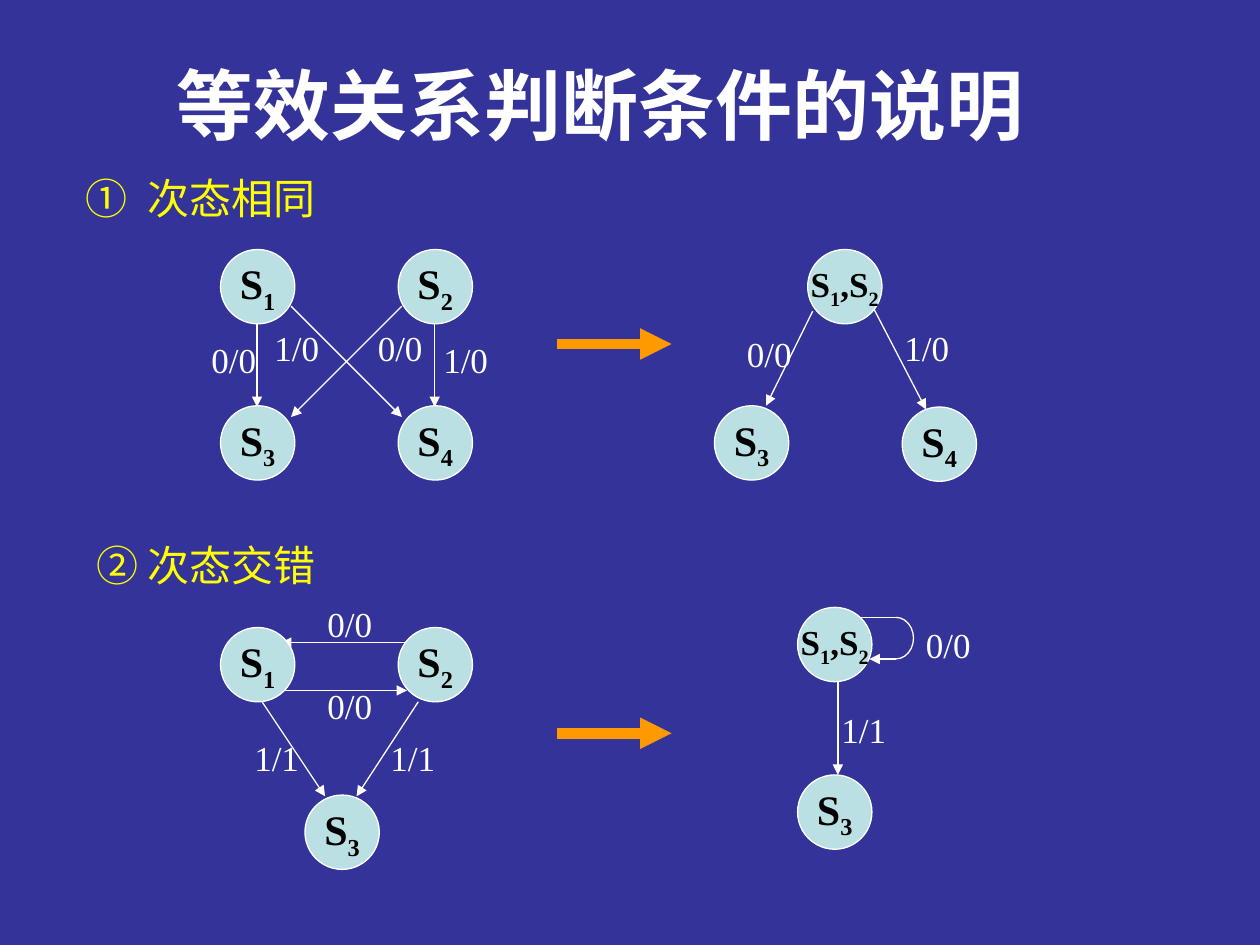
import pptx
import pptx.util
import pptx.dml.color
import pptx.enum.shapes
import pptx.enum.text
import pptx.oxml
import pptx.oxml.ns

Inches, Pt = pptx.util.Inches, pptx.util.Pt
RGBColor = pptx.dml.color.RGBColor
MSO_SHAPE = pptx.enum.shapes.MSO_SHAPE
MSO_ANCHOR = pptx.enum.text.MSO_ANCHOR
qn = pptx.oxml.ns.qn

NAVY = RGBColor(0x33, 0x33, 0x99)
WHITE = RGBColor(0xFF, 0xFF, 0xFF)
YELLOW = RGBColor(0xFF, 0xFF, 0x00)
ORANGE = RGBColor(0xFF, 0x99, 0x00)
PALE = RGBColor(0xBB, 0xE0, 0xE3)
BLACK = RGBColor(0, 0, 0)

SERIF = "Times New Roman"
STATE_SIZE = 0.59
HEADING_TEXT_X = 1.17  # where the heading words start, after the number

# Transitions: from, to, label, label left and top
TRANSITIONS = [
    # Same next state, before merging
    ((2.31, 2.43), (3.19, 3.31), "1/0", (2.08, 2.54)),
    ((2.04, 2.56), (2.04, 3.23), "0/0", (1.58, 2.64)),
    ((3.45, 2.56), (3.45, 3.23), "1/0", (3.42, 2.64)),
    ((3.19, 2.43), (2.31, 3.31), "0/0", (2.9, 2.54)),
    # Same next state, after merging
    ((6.45, 2.47), (6.08, 3.22), "0/0", (5.83, 2.59)),
    ((6.94, 2.46), (7.35, 3.25), "1/0", (7.08, 2.54)),
    # Crossed next states, before merging
    ((3.22, 5.1), (2.23, 5.1), "0/0", (2.5, 4.73)),
    ((2.25, 5.48), (3.23, 5.48), "0/0", (2.5, 5.38)),
    ((2.08, 5.57), (2.58, 6.32), "1/1", (1.92, 5.8)),
    ((3.32, 5.57), (2.83, 6.32), "1/1", (3, 5.8)),
    # Crossed next states, after merging
    ((6.65, 5.4), (6.65, 6.15), "1/1", (6.58, 5.57)),
]

# States: left, top, indices of the states it holds
STATES = [
    (1.75, 1.98, "1"), (3.16, 1.98, "2"), (1.75, 3.22, "3"), (3.16, 3.22, "4"),
    (6.41, 1.98, "12"), (5.67, 3.22, "3"), (7.16, 3.23, "4"),
    (1.75, 4.98, "1"), (3.16, 4.98, "2"), (2.42, 6.31, "3"),
    (6.33, 4.82, "12"), (6.33, 6.15, "3"),
]


def set_font(p, name, size, color, bold=False):
    p.font.name = name
    p.font.size = Pt(size)
    p.font.bold = bold
    p.font.color.rgb = color


def add_text(s, at, text, size, color, name=SERIF, bold=False, tab=None):
    tf = s.shapes.add_textbox(*map(Inches, at)).text_frame
    tf.word_wrap = True
    p = tf.paragraphs[0]
    p.text = text
    if tab is not None:
        tabs = pptx.oxml.parse_xml(
            '<a:tabLst xmlns:a="http://schemas.openxmlformats.org/drawingml/2006/main">'
            f'<a:tab pos="{Inches(tab)}" algn="l"/></a:tabLst>')
        p._p.get_or_add_pPr().append(tabs)
    set_font(p, name, size, color, bold)
    return tf


def add_heading(s, left, top, width, number, text):
    add_text(s, (left, top, width, 0.5), f"{number}\t{text}", 24, YELLOW,
             tab=HEADING_TEXT_X - left - 0.1)


def add_label(s, left, top, text):
    tf = add_text(s, (left, top, 0.67, 0.43), text, 20, WHITE)
    tf.auto_size = pptx.enum.text.MSO_AUTO_SIZE.SHAPE_TO_FIT_TEXT


def add_line(s, start, end, color=WHITE, width=0.75, arrow=True):
    line = s.shapes.add_connector(pptx.enum.shapes.MSO_CONNECTOR.STRAIGHT,
                                  *map(Inches, start + end))
    line.line.color.rgb = color
    line.line.width = Pt(width)
    if arrow:
        ln = line.line._get_or_add_ln()
        ln.append(ln.makeelement(qn("a:tailEnd"), {"type": "triangle"}))
    sp_pr = line._element.spPr
    sp_pr.append(sp_pr.makeelement(qn("a:effectLst"), {}))


def add_outlined(s, kind, left, top, width, height):
    sp = s.shapes.add_shape(kind, *map(Inches, (left, top, width, height)))
    sp.shadow.inherit = False
    sp.line.color.rgb = WHITE
    sp.line.width = Pt(0.75)
    return sp


def add_state(s, left, top, indices):
    sp = add_outlined(s, MSO_SHAPE.OVAL, left, top, STATE_SIZE, STATE_SIZE)
    sp.fill.solid()
    sp.fill.fore_color.rgb = PALE
    tf = sp.text_frame
    tf.word_wrap = False
    tf.vertical_anchor = MSO_ANCHOR.MIDDLE
    p = tf.paragraphs[0]
    p.alignment = pptx.enum.text.PP_ALIGN.CENTER
    set_font(p, SERIF, 24 if len(indices) == 1 else 20, BLACK, bold=True)
    for i, index in enumerate(indices):
        p.add_run().text = ",S" if i else "S"
        r = p.add_run()
        r.text = index
        r.font._element.set("baseline", "-25000")


def add_self_loop(s):
    add_line(s, (6.83, 4.9), (7.11, 4.9), arrow=False)
    arc = add_outlined(s, MSO_SHAPE.ARC, 6.97, 4.9, 0.28, 0.33)
    arc.fill.background()
    arc.adjustments[0] = 162  # 270 degrees, in units of 5/3 degree
    arc.adjustments[1] = 54   # 90 degrees
    add_line(s, (7.11, 5.23), (6.9, 5.23))
    add_label(s, 7.25, 4.9, "0/0")


def main():
    prs = pptx.Presentation()
    prs.slide_width, prs.slide_height = Inches(10), Inches(7.5)
    s = prs.slides.add_slide(prs.slide_layouts[6])
    s.background.fill.solid()
    s.background.fill.fore_color.rgb = NAVY

    # Title and headings
    title = add_text(s, (1.3, 0.57, 7.24, 0.5), "等效关系判断条件的说明", 44, WHITE,
                     name="Arial", bold=True)
    title.vertical_anchor = MSO_ANCHOR.MIDDLE
    add_heading(s, 0.58, 1.32, 2.92, "①", "次态相同")
    add_heading(s, 0.67, 4.23, 2.25, "②", "次态交错")

    # Transitions lie behind the states
    for start, end, text, (left, top) in TRANSITIONS:
        add_line(s, start, end)
        add_label(s, left, top, text)
    add_self_loop(s)

    # States
    for left, top, indices in STATES:
        add_state(s, left, top, indices)

    # Merging arrows
    for y in (2.73, 5.82):
        add_line(s, (4.42, y), (5.33, y), ORANGE, 6)

    prs.save("out.pptx")


if __name__ == "__main__":
    main()
